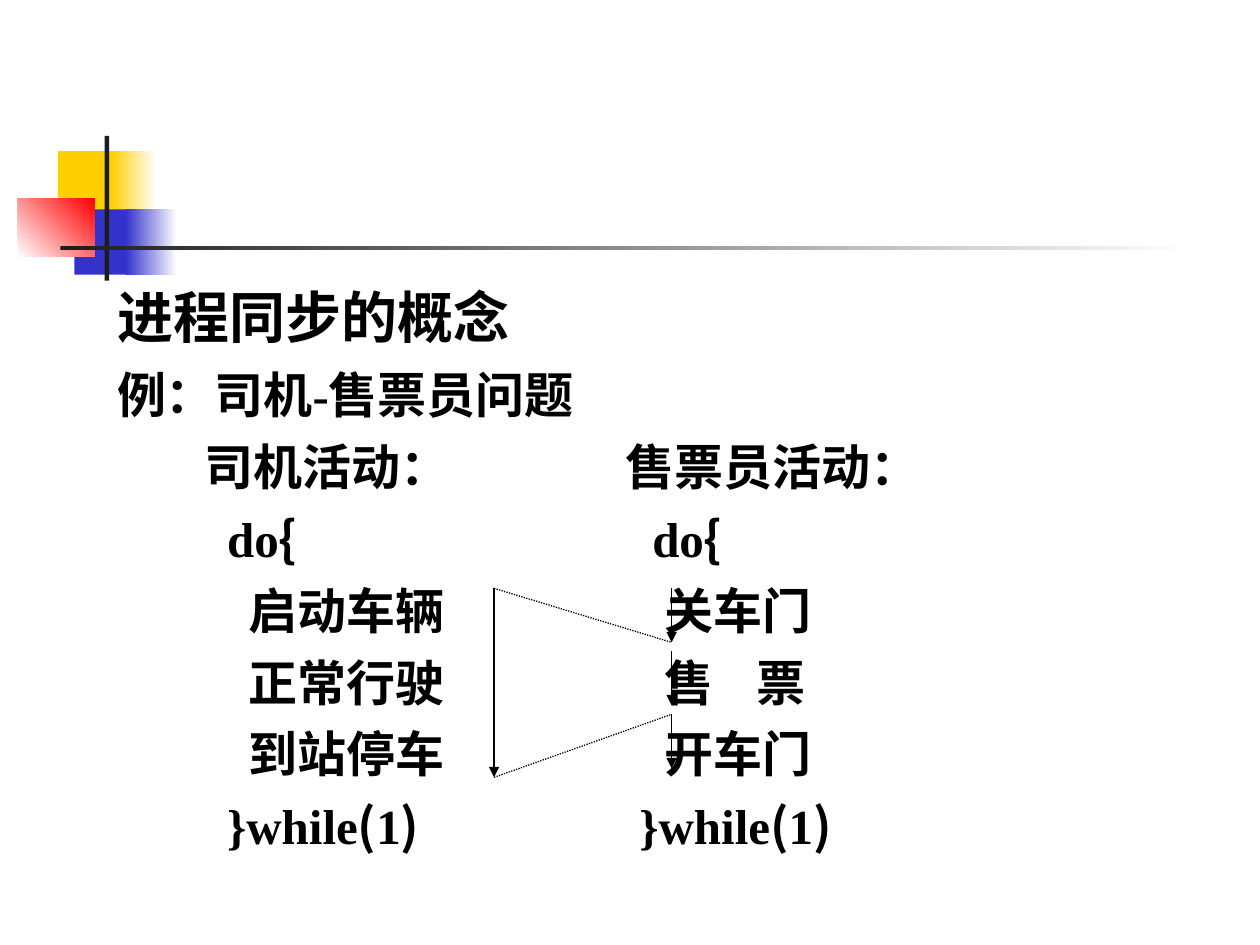
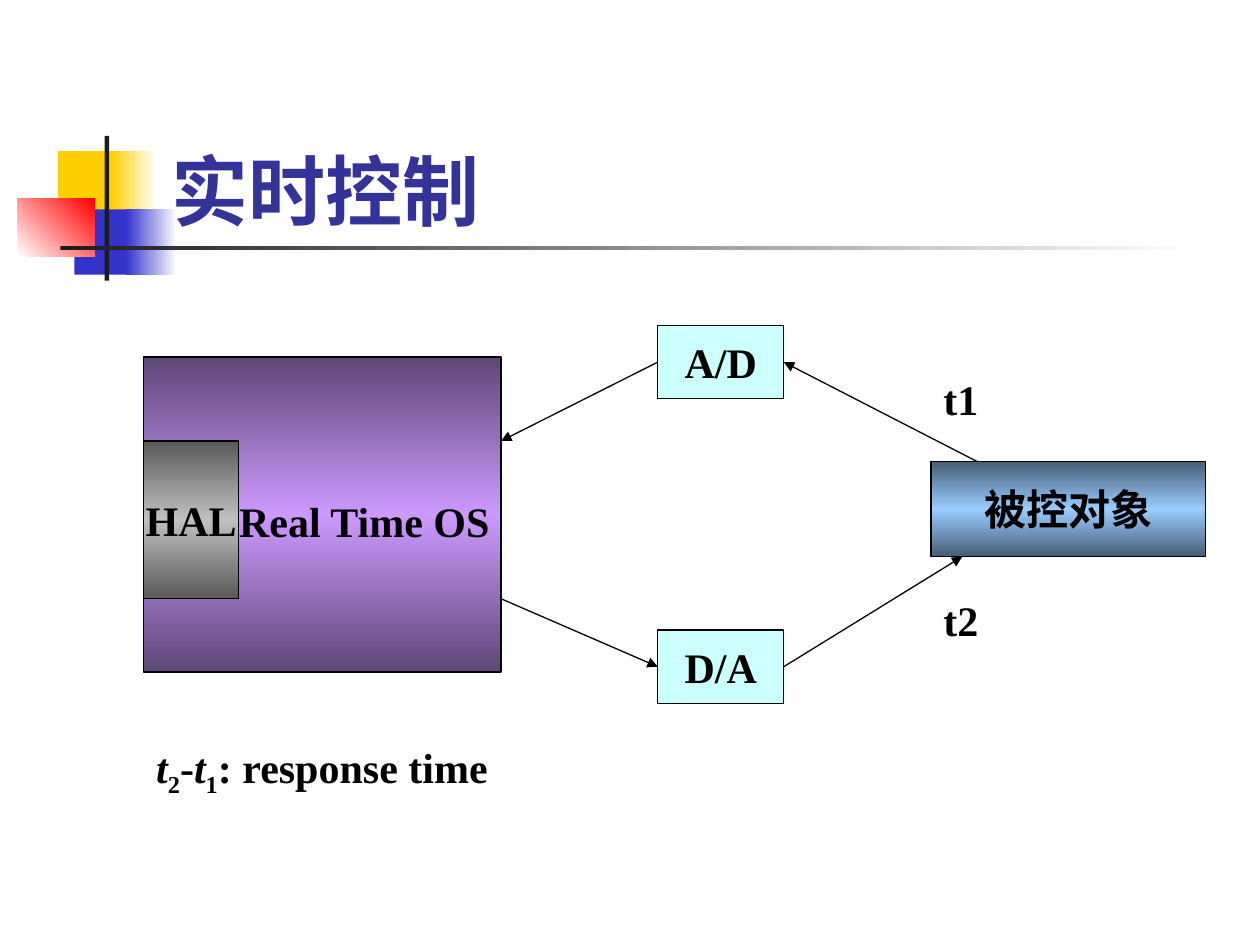
from itertools import groupby

from lxml import etree
from pptx import Presentation
from pptx.dml.color import RGBColor
from pptx.enum.dml import MSO_LINE
from pptx.enum.shapes import MSO_CONNECTOR, MSO_SHAPE
from pptx.enum.text import MSO_ANCHOR, MSO_AUTO_SIZE, PP_ALIGN
from pptx.oxml.ns import qn
from pptx.util import Cm, Pt

RECTANGLE = MSO_SHAPE.RECTANGLE
STRAIGHT = MSO_CONNECTOR.STRAIGHT
DOTTED = MSO_LINE.ROUND_DOT
LEFT, CENTER = PP_ALIGN.LEFT, PP_ALIGN.CENTER
MIDDLE, BOTTOM = MSO_ANCHOR.MIDDLE, MSO_ANCHOR.BOTTOM
NO_FIT = MSO_AUTO_SIZE.NONE

BLACK = RGBColor(0x00, 0x00, 0x00)
WHITE = RGBColor(0xFF, 0xFF, 0xFF)
YELLOW = RGBColor(0xFF, 0xCF, 0x01)
BLUE = RGBColor(0x33, 0x33, 0xCC)
RED = RGBColor(0xFF, 0x00, 0x00)
CHARCOAL = RGBColor(0x1C, 0x1C, 0x1C)
TITLE_BLUE = RGBColor(0x33, 0x33, 0x99)
PALE_CYAN = RGBColor(0xCC, 0xFF, 0xFF)
PURPLE, DARK_PURPLE = RGBColor(0xCC, 0x99, 0xFF), RGBColor(0x5E, 0x47, 0x76)
SILVER, DARK_GRAY = RGBColor(0xC0, 0xC0, 0xC0), RGBColor(0x59, 0x59, 0x59)
SKY, DARK_SKY = RGBColor(0x99, 0xCC, 0xFF), RGBColor(0x47, 0x5E, 0x76)

SERIF, CJK, TITLE_FONT = "Times New Roman", "Noto Sans CJK SC", "Lato"
TITLE_ONLY, BLANK = 5, 6
TOP_SIDE, LEFT_SIDE, RIGHT_SIDE = 0, 1, 3

# Left, top, width, height, colours and gradient angle
DECORATION = [
    (1.17, 3.05, 1.22, 1.32, [YELLOW], 0),
    (2.24, 3.05, 0.91, 1.32, [YELLOW, WHITE], 0),
    (1.5, 4.22, 1.17, 1.32, [BLUE], 0),
    (2.54, 4.22, 1.02, 1.32, [BLUE, WHITE], 0),
    (0.36, 4.01, 1.55, 1.17, [WHITE, RED], 315),
    (2.11, 2.74, 0.09, 2.92, [CHARCOAL], 0),
    (1.22, 4.95, 22.86, 0.09, [CHARCOAL, WHITE], 0),
]

# Each line of the example with its tab stops
EXAMPLE_LINES = [
    ("例：司机-售票员问题", []),
    ("\t司机活动：\t售票员活动：", [1.77, 10.25]),
    ("\tdo{\tdo{", [2.22, 10.79]),
    ("\t启动车辆\t关车门", [2.65, 11.03]),
    ("\t正常行驶\t售\t票", [2.65, 11.03, 12.9]),
    ("\t到站停车\t开车门", [2.65, 11.03]),
    ("\t}while(1)\t}while(1)", [2.22, 10.53]),
]


def add_span(para, text, size=24, font=SERIF, color=BLACK, italic=False, baseline=0):
    span = para.add_run()
    span.text = text
    span.font.size = Pt(size)
    span.font.name = font
    span.font.bold = True
    span.font.italic = italic
    span.font.color.rgb = color
    properties = span._r.get_or_add_rPr()
    etree.SubElement(properties, qn("a:ea")).set("typeface", CJK)
    if baseline:
        properties.set("baseline", str(baseline * 1000))


def add_tab_stops(para, stops):
    tab_list = etree.SubElement(para._p.get_or_add_pPr(), qn("a:tabLst"))
    for stop in stops:
        etree.SubElement(tab_list, qn("a:tab"), pos=str(Cm(stop)), algn="l")


def paint(shape, colors, angle):
    """One colour gives a solid fill, more give an even gradient."""
    if len(colors) == 1:
        shape.fill.solid()
        shape.fill.fore_color.rgb = colors[0]
        return
    shape.fill.gradient()
    gradient = shape._element.spPr.find(qn("a:gradFill"))
    stops = gradient.find(qn("a:gsLst"))
    for stop in list(stops):
        stops.remove(stop)
    for index, color in enumerate(colors):
        position = 100000 * index // (len(colors) - 1)
        stop = etree.SubElement(stops, qn("a:gs"), pos=str(position))
        etree.SubElement(stop, qn("a:srgbClr"), val=str(color))
    gradient.find(qn("a:lin")).set("ang", str(angle * 60000))


def add_block(page, left, top, width, height, colors, angle=90, outline=True, label=""):
    block = page.shapes.add_shape(RECTANGLE, Cm(left), Cm(top), Cm(width), Cm(height))
    block.shadow.inherit = False
    paint(block, colors, angle)
    if outline:
        block.line.color.rgb = BLACK
        block.line.width = Pt(0.75)
    else:
        block.line.fill.background()
    if label:
        frame = block.text_frame
        frame.word_wrap = False
        frame.vertical_anchor = MIDDLE
        frame.paragraphs[0].alignment = CENTER
        add_span(frame.paragraphs[0], label)
    return block


def add_text_box(page, left, top, width, height):
    box = page.shapes.add_textbox(Cm(left), Cm(top), Cm(width), Cm(height))
    box.text_frame.word_wrap = True
    return box.text_frame


def add_label(page, left, top, width, height, text):
    frame = add_text_box(page, left, top, width, height)
    add_span(frame.paragraphs[0], text)


def add_line(page, start, end, arrow=True):
    line = page.shapes.add_connector(STRAIGHT, *map(Cm, start + end))
    line.line.color.rgb = BLACK
    line.line.width = Pt(0.75)
    if arrow:
        etree.SubElement(line.line._get_or_add_ln(), qn("a:tailEnd"), type="triangle")
    else:
        line.line.dash_style = DOTTED
    etree.SubElement(line._element.spPr, qn("a:effectLst"))
    return line


def decorate_master(deck, page):
    """Build the corner motif on a page, then move it to the master."""
    tree = deck.slide_master.shapes._spTree
    for index, (left, top, width, height, colors, angle) in enumerate(DECORATION):
        block = add_block(page, left, top, width, height, colors, angle, outline=False)
        block._element.nvSpPr.cNvPr.set("id", str(101 + index))
        tree.append(block._element)


def set_title(page, text):
    title = page.shapes.title
    title.left, title.top = Cm(3.2), Cm(1.7)
    title.width, title.height = Cm(21.64), Cm(3.18)
    frame = title.text_frame
    frame.auto_size = NO_FIT
    frame.vertical_anchor = BOTTOM
    frame.paragraphs[0].alignment = LEFT
    add_span(frame.paragraphs[0], text, 44, TITLE_FONT, TITLE_BLUE)


def build_synchronization(page):
    # Heading and the two activity columns
    frame = add_text_box(page, 2.11, 5.72, 21.79, 11.61)
    heading = frame.paragraphs[0]
    heading.line_spacing = 0.9
    add_span(heading, "进程同步的概念", 32)
    for text, stops in EXAMPLE_LINES:
        para = frame.add_paragraph()
        para.line_spacing = 0.7
        para.space_before = Pt(17.5)
        if stops:
            add_tab_stops(para, stops)
        for is_bracket, chars in groupby(text, lambda char: char in "{()"):
            add_span(para, "".join(chars), 28, CJK if is_bracket else SERIF)

    # Time arrows of the driver and the conductor
    driver_x, conductor_x = 9.96, 13.54
    start_y, end_y = 11.86, 15.67
    step, length = 1.27, 1.09
    add_line(page, (driver_x, start_y), (driver_x, end_y))
    for index in range(3):
        top = start_y + index * step
        add_line(page, (conductor_x, top), (conductor_x, top + length))

    # Dotted links between the two
    add_line(page, (driver_x, start_y), (conductor_x, start_y + length), arrow=False)
    add_line(page, (driver_x, end_y), (conductor_x, start_y + 2 * step), arrow=False)


def build_control(page):
    set_title(page, "实时控制")

    # System, converters and controlled object
    add_block(page, 2.9, 7.2, 7.2, 6.35, [DARK_PURPLE, PURPLE, DARK_PURPLE])
    add_block(page, 2.9, 8.89, 1.91, 3.18, [DARK_GRAY, SILVER, DARK_GRAY], label="HAL")
    add_label(page, 4.57, 9.86, 5.8, 1.27, "Real Time OS")
    add_block(page, 18.77, 9.31, 5.54, 1.91, [DARK_SKY, SKY, DARK_SKY], label="被控对象")
    input_converter, output_converter = [
        add_block(page, 13.26, top, 2.54, 1.48, [PALE_CYAN], label=label)
        for top, label in ((6.56, "A/D"), (12.7, "D/A"))
    ]

    # Signal loop
    measured = add_line(page, (19.71, 9.31), (15.8, 7.3))
    measured.end_connect(input_converter, RIGHT_SIDE)
    sampled = add_line(page, (13.26, 7.3), (10.1, 8.89))
    sampled.begin_connect(input_converter, LEFT_SIDE)
    command = add_line(page, (10.1, 12.07), (13.26, 13.44))
    command.end_connect(output_converter, LEFT_SIDE)
    drive = add_line(page, (15.8, 13.44), (19.4, 11.22))
    drive.begin_connect(output_converter, RIGHT_SIDE)

    # Times and the response time
    add_label(page, 18.77, 7.41, 1.27, 1.27, "t1")
    add_label(page, 18.77, 11.85, 1.48, 1.27, "t2")
    para = add_text_box(page, 2.9, 14.82, 20.11, 1.42).paragraphs[0]
    for index, after in (("2", "-"), ("1", ": response time")):
        add_span(para, "t", italic=True)
        add_span(para, index, baseline=-25)
        add_span(para, after)


def main():
    deck = Presentation()
    deck.slide_width, deck.slide_height = Cm(25.4), Cm(19.05)
    synchronization = deck.slides.add_slide(deck.slide_layouts[BLANK])
    control = deck.slides.add_slide(deck.slide_layouts[TITLE_ONLY])
    decorate_master(deck, synchronization)
    build_synchronization(synchronization)
    build_control(control)
    deck.save("out.pptx")


if __name__ == "__main__":
    main()
